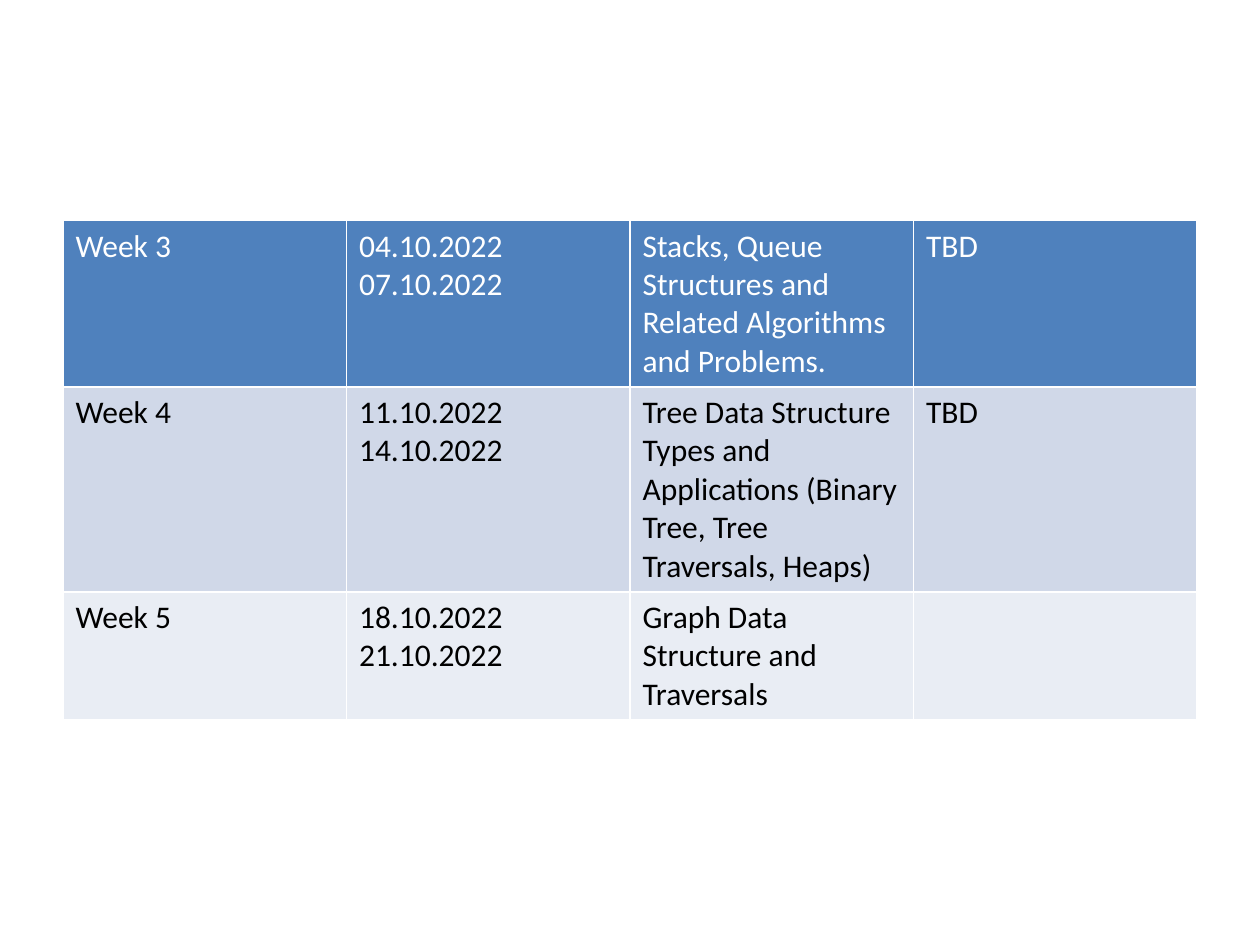
from dataclasses import dataclass

from pptx import Presentation
from pptx.dml.color import RGBColor
from pptx.util import Cm, Pt


@dataclass(frozen=True)
class Theme:
    """Colours and type of the schedule."""

    font: str = "Calibri"
    size: Pt = Pt(18)
    row_fills: tuple = ("4F81BD", "D0D8E8", "E9EDF4")
    row_inks: tuple = ("FFFFFF", "000000", "000000")


THEME = Theme()
WEEKS = (
    ("Week 3", "04.10.2022 07.10.2022",
     "Stacks, Queue Structures and Related Algorithms and Problems.", "TBD"),
    ("Week 4", "11.10.2022 14.10.2022",
     "Tree Data Structure Types and Applications (Binary Tree, Tree Traversals, Heaps)", "TBD"),
    ("Week 5", "18.10.2022 21.10.2022", "Graph Data Structure and Traversals", ""),
)
ROW_HEIGHTS = (Cm(3.35), Cm(4.13), Cm(2.56))


def fill_cell(cell, text, fill, ink):
    """Write one schedule cell and colour it."""
    cell.fill.solid()
    cell.fill.fore_color.rgb = RGBColor.from_string(fill)
    cell.text_frame.text = text
    font = cell.text_frame.paragraphs[0].font
    font.size = THEME.size
    for run in cell.text_frame.paragraphs[0].runs:
        run.font.name = THEME.font
        run.font.size = THEME.size
        run.font.bold = False
        run.font.color.rgb = RGBColor.from_string(ink)


def add_schedule(slide, left, top, width):
    """Place the weekly schedule with equal columns across the given width."""
    table = slide.shapes.add_table(
        len(WEEKS), len(WEEKS[0]), left, top, width, sum(ROW_HEIGHTS)
    ).table
    rows = zip(table.rows, ROW_HEIGHTS, WEEKS, THEME.row_fills, THEME.row_inks)
    for row, height, week, fill, ink in rows:
        row.height = height
        for cell, text in zip(row.cells, week):
            fill_cell(cell, text, fill, ink)


def main():
    """Build the schedule slide and save it."""
    presentation = Presentation()
    presentation.slide_width = Cm(25.4)
    presentation.slide_height = Cm(19.05)
    slide = presentation.slides.add_slide(presentation.slide_layouts[6])
    add_schedule(slide, Cm(1.27), Cm(4.45), Cm(22.86))
    presentation.save("out.pptx")


if __name__ == "__main__":
    main()
